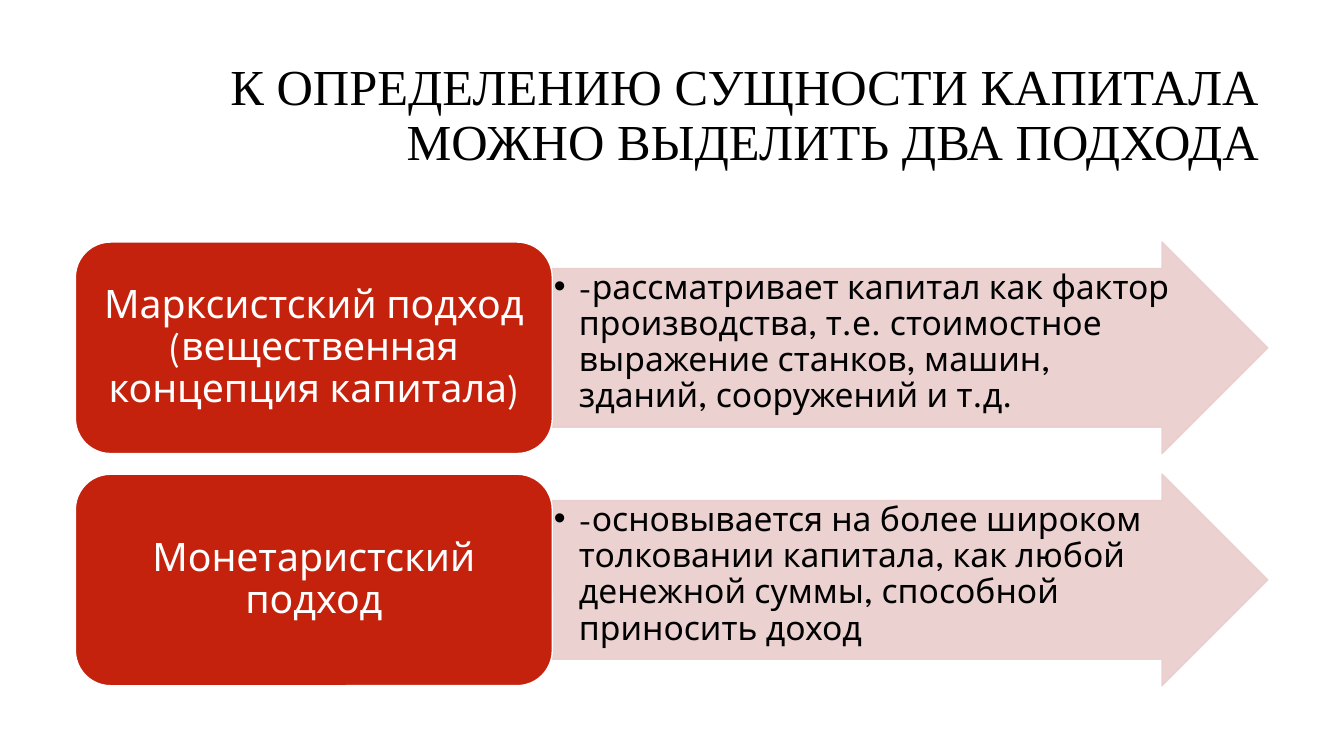
from lxml import etree
from pptx import Presentation
from pptx.dml.color import RGBColor
from pptx.enum.shapes import MSO_SHAPE
from pptx.enum.text import MSO_ANCHOR, PP_ALIGN
from pptx.oxml.ns import qn
from pptx.util import Cm, Pt

TITLE = "К ОПРЕДЕЛЕНИЮ СУЩНОСТИ КАПИТАЛА МОЖНО ВЫДЕЛИТЬ ДВА ПОДХОДА"
APPROACHES = [
    ("Марксистский подход (вещественная концепция капитала)",
     "-рассматривает капитал как фактор производства, т.е. стоимостное "
     "выражение станков, машин, зданий, сооружений и т.д."),
    ("Монетаристский подход",
     "-основывается на более широком толковании капитала, как любой "
     "денежной суммы, способной приносить доход"),
]

BLACK = RGBColor(0x00, 0x00, 0x00)
WHITE = RGBColor(0xFF, 0xFF, 0xFF)
RED = RGBColor(0xC4, 0x22, 0x0D)
PINK = RGBColor(0xEA, 0xCD, 0xCC)
TITLE_FONT = "Times New Roman"
BODY_FONT = "League Spartan"
ARROW = MSO_SHAPE.RIGHT_ARROW
ROUNDED = MSO_SHAPE.ROUNDED_RECTANGLE
TOP, MIDDLE = MSO_ANCHOR.TOP, MSO_ANCHOR.MIDDLE
LEFT, CENTER, RIGHT = PP_ALIGN.LEFT, PP_ALIGN.CENTER, PP_ALIGN.RIGHT

ROW_TOP, ROW_HEIGHT, ROW_PITCH = 6.1, 5.33, 5.85
NAME_LEFT, NAME_WIDTH, NAME_PAD = 1.9, 12.02, 0.26
ARROW_LEFT, ARROW_WIDTH = NAME_LEFT + NAME_WIDTH, 18.03
SHAFT = 0.75
BULLET_INDENT = 0.63

deck = Presentation()
deck.slide_width, deck.slide_height = Cm(33.87), Cm(19.05)
slide = deck.slides.add_slide(deck.slide_layouts[6])


def add_panel(preset, box, fill, line, opacity=100):
    panel = slide.shapes.add_shape(preset, *map(Cm, box))
    panel.shadow.inherit = False
    panel.fill.solid()
    panel.fill.fore_color.rgb = fill
    panel.line.color.rgb = line
    panel.line.width = Pt(1)
    if opacity < 100:
        for color in panel.element.spPr.iter(qn("a:srgbClr")):
            etree.SubElement(color, qn("a:alpha"), val=str(opacity * 1000))
    return panel


def add_text(text, box, size, font=BODY_FONT, color=BLACK, align=LEFT,
             anchor=MIDDLE, pad=(0.25, 0.13), bullet=False):
    frame = slide.shapes.add_textbox(*map(Cm, box)).text_frame
    frame.word_wrap = True
    frame.vertical_anchor = anchor
    frame.margin_left = frame.margin_right = Cm(pad[0])
    frame.margin_top = frame.margin_bottom = Cm(pad[1])
    paragraph = frame.paragraphs[0]
    paragraph.alignment = align
    paragraph.line_spacing = 0.9
    run = paragraph.add_run()
    run.text = text
    run.font.size = Pt(size)
    run.font.name = font
    run.font.color.rgb = color
    if bullet:
        properties = paragraph._p.get_or_add_pPr()
        properties.set("marL", str(Cm(BULLET_INDENT)))
        properties.set("indent", str(-Cm(BULLET_INDENT)))
        etree.SubElement(properties, qn("a:buFont"), typeface="Arial")
        etree.SubElement(properties, qn("a:buChar"), char="•")


add_text(TITLE, (1.42, 2.13, 30.56, 1.63), 36, font=TITLE_FONT, align=RIGHT)

for row, (name, description) in enumerate(APPROACHES):
    top = ROW_TOP + row * ROW_PITCH
    arrow = add_panel(ARROW, (ARROW_LEFT, top, ARROW_WIDTH, ROW_HEIGHT),
                      PINK, PINK, opacity=90)
    arrow.adjustments[0] = SHAFT
    arrow.adjustments[1] = 0.5
    add_text(description,
             (ARROW_LEFT, top + ROW_HEIGHT * (1 - SHAFT) / 2,
              ARROW_WIDTH - 2, ROW_HEIGHT * SHAFT),
             24, anchor=TOP, pad=(0.04, 0.04), bullet=True)
    add_panel(ROUNDED, (NAME_LEFT, top, NAME_WIDTH, ROW_HEIGHT), RED, WHITE)
    add_text(name,
             (NAME_LEFT + NAME_PAD, top + NAME_PAD,
              NAME_WIDTH - 2 * NAME_PAD, ROW_HEIGHT - 2 * NAME_PAD),
             28, color=WHITE, align=CENTER, pad=(0.3, 0.15))

deck.save("out.pptx")
